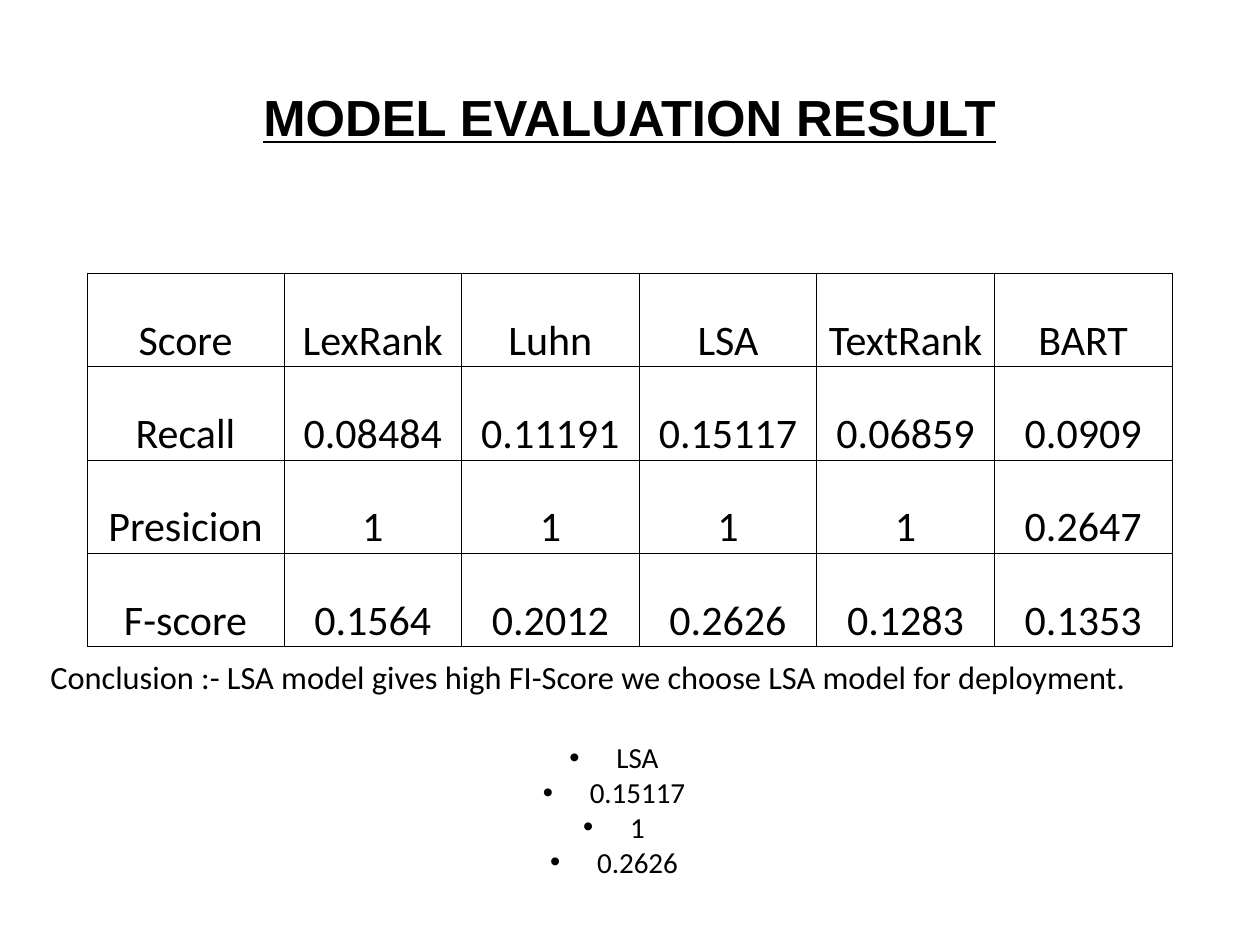
from lxml.etree import SubElement
from pptx import Presentation
from pptx.dml.color import RGBColor
from pptx.enum.text import MSO_ANCHOR, PP_ALIGN
from pptx.oxml import parse_xml
from pptx.oxml.ns import nsdecls, qn
from pptx.util import Emu, Pt

PX = 914400 // 126
BLACK = RGBColor(0, 0, 0)

TITLE_BOX = (63, 38, 1134, 157)
TABLE_BOX = (87, 273, 1085, 374)
CONCLUSION_BOX = (38, 651, 1189, 238)
FIRST_COLUMN = 197
BULLET_INDENT = 47

SCORES = [
    ["Score", "LexRank", "Luhn", "LSA", "TextRank", "BART"],
    ["Recall", "0.08484", "0.11191", "0.15117", "0.06859", "0.0909"],
    ["Presicion", "1", "1", "1", "1", "0.2647"],
    ["F-score", "0.1564", "0.2012", "0.2626", "0.1283", "0.1353"],
]
CONCLUSION = "Conclusion :- LSA model gives high FI-Score we choose LSA model for deployment."
LSA_COLUMN = SCORES[0].index("LSA")


def px(length):
    return Emu(round(length * PX))


def set_font(paragraph, size, name="Calibri"):
    paragraph.font.name = name
    paragraph.font.size = Pt(size)
    paragraph.font.color.rgb = BLACK


def add_title(slide, box):
    title = slide.shapes.title
    title.left, title.top, title.width, title.height = map(px, box)
    title.text_frame.text = "MODEL EVALUATION RESULT"
    title.text_frame.vertical_anchor = MSO_ANCHOR.MIDDLE
    paragraph = title.text_frame.paragraphs[0]
    paragraph.alignment = PP_ALIGN.CENTER
    set_font(paragraph, 29, "Arial")
    paragraph.font.bold = True
    paragraph.font.underline = True


def add_borders(cell):
    properties = cell._tc.get_or_add_tcPr()
    for index, side in enumerate(("lnL", "lnR", "lnT", "lnB")):
        properties.insert(index, parse_xml(
            f'<a:{side} {nsdecls("a")} w="{Pt(0.5)}"><a:solidFill>'
            f'<a:srgbClr val="{BLACK}"/></a:solidFill></a:{side}>'))


def fill_cell(cell, text):
    cell.text = text
    cell.vertical_anchor = MSO_ANCHOR.BOTTOM
    cell.margin_left = cell.margin_right = cell.margin_top = px(1)
    cell.margin_bottom = 0
    cell.fill.background()
    add_borders(cell)
    paragraph = cell.text_frame.paragraphs[0]
    paragraph.alignment = PP_ALIGN.CENTER
    set_font(paragraph, 24)


def add_score_table(slide, box):
    row_count, column_count = len(SCORES), len(SCORES[0])
    table = slide.shapes.add_table(row_count, column_count, *map(px, box)).table
    table.first_row = table.horz_banding = False
    model_width = (box[2] - FIRST_COLUMN) / (column_count - 1)
    for index, column in enumerate(table.columns):
        column.width = px(model_width if index else FIRST_COLUMN)
    for row, texts in zip(table.rows, SCORES):
        row.height = px(box[3] / row_count)
        for cell, text in zip(row.cells, texts):
            fill_cell(cell, text)


def add_bullet(paragraph):
    properties = paragraph._p.get_or_add_pPr()
    properties.set("marL", "0")
    properties.set("indent", str(-px(BULLET_INDENT)))
    SubElement(properties, qn("a:buFont"), typeface="Arial")
    SubElement(properties, qn("a:buChar"), char="•")


def add_conclusion(slide, box):
    frame = slide.shapes.add_textbox(*map(px, box)).text_frame
    frame.word_wrap = True
    frame.text = CONCLUSION
    set_font(frame.paragraphs[0], 18.5)
    frame.paragraphs[0].space_after = Pt(25)
    for row in SCORES:
        paragraph = frame.add_paragraph()
        paragraph.text = row[LSA_COLUMN]
        paragraph.alignment = PP_ALIGN.CENTER
        set_font(paragraph, 16.6)
        add_bullet(paragraph)


def main():
    presentation = Presentation()
    presentation.slide_width, presentation.slide_height = px(1260), px(945)
    slide = presentation.slides.add_slide(presentation.slide_layouts[5])
    add_title(slide, TITLE_BOX)
    add_conclusion(slide, CONCLUSION_BOX)
    add_score_table(slide, TABLE_BOX)
    presentation.save("out.pptx")


if __name__ == "__main__":
    main()
